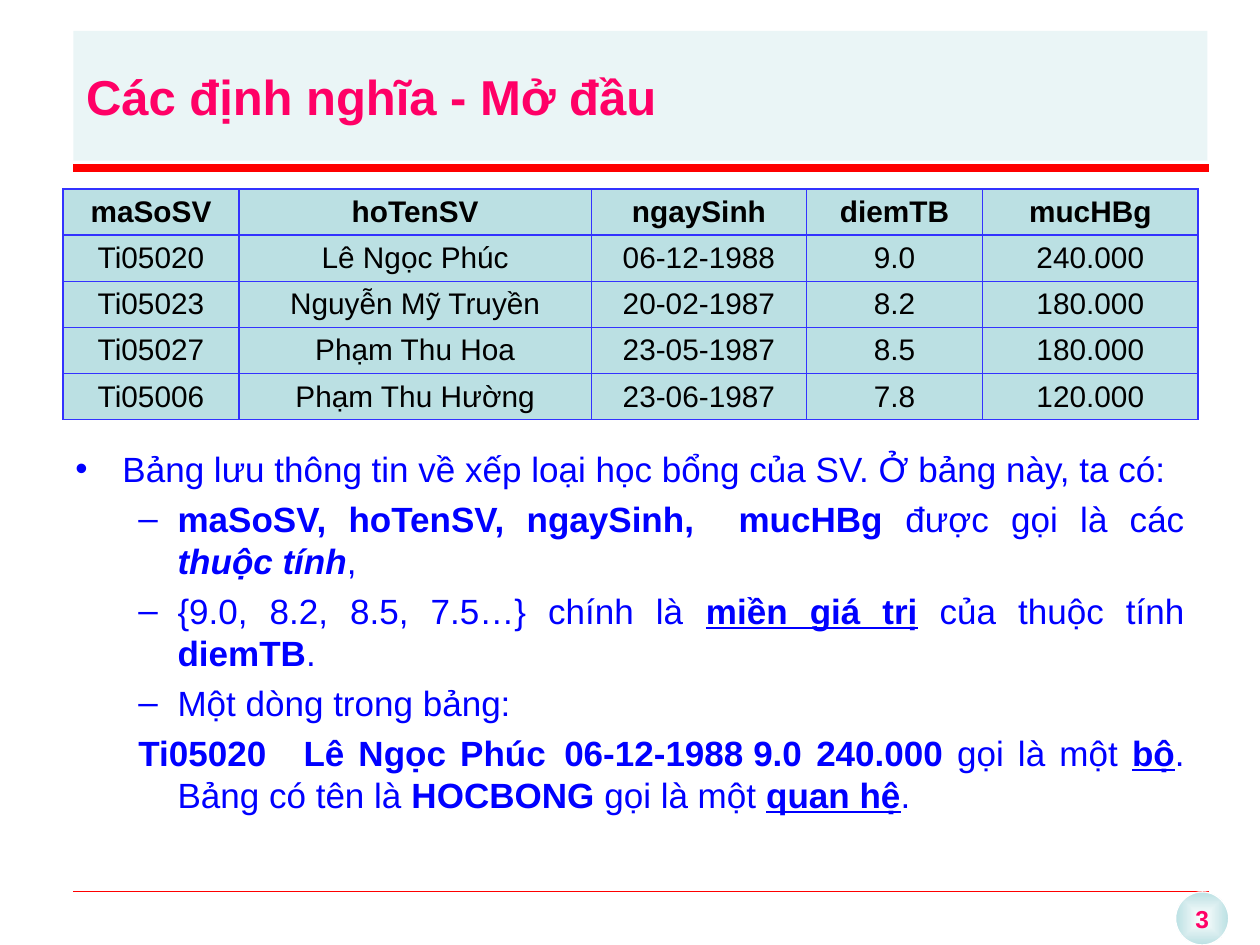
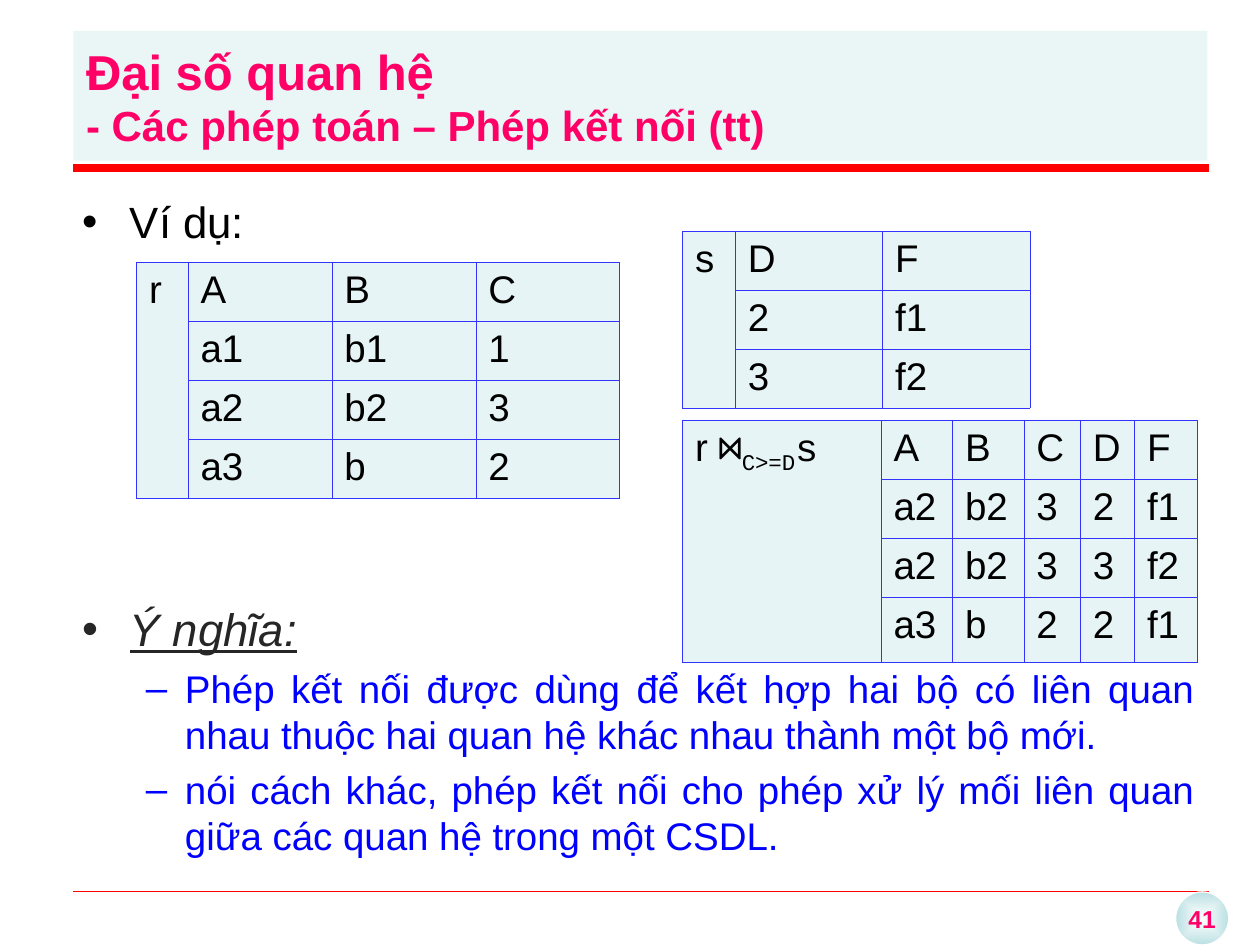
from lxml import etree
from pptx import Presentation
from pptx.dml.color import RGBColor
from pptx.enum.shapes import MSO_CONNECTOR, MSO_SHAPE
from pptx.enum.text import MSO_ANCHOR, MSO_AUTO_SIZE, PP_ALIGN
from pptx.oxml import parse_xml
from pptx.oxml.ns import nsdecls, qn
from pptx.util import Cm, Pt

FONT = "Arial"
PINK, RED, BLUE, BLACK, GREY = "FF0066", "FF0000", "0000FF", "000000", "262626"
WHITE, TEAL, PALE, BORDER = "FFFFFF", "BBE0E3", "E7F4F5", "3333FF"
LEFT, RULE_RIGHT = 1.48, 24.38
INDENTS = {0: (0.95, -0.95), 1: (2.06, -0.79)}
BULLETS = {0: "•", 1: "–"}


def rgb(color):
    return RGBColor.from_string(color)


def box(left, top, width, height):
    return Cm(left), Cm(top), Cm(width), Cm(height)


def add_run(paragraph, text, size, color, style="", font=FONT):
    run = paragraph.add_run()
    run.text = text
    run.font.name = font
    run.font.size = Pt(size)
    run.font.color.rgb = rgb(color)
    run.font.bold = "b" in style
    run.font.italic = "i" in style
    run.font.underline = "u" in style
    if "s" in style:
        run.font._element.set("baseline", "-25000")


def add_rule(slide, y, weight):
    rule = slide.shapes.add_connector(
        MSO_CONNECTOR.STRAIGHT, Cm(LEFT), Cm(y), Cm(RULE_RIGHT), Cm(y))
    rule.line.color.rgb = rgb(RED)
    rule.line.width = Pt(weight)
    etree.SubElement(rule._element.spPr, qn("a:effectLst"))


def add_page_badge(slide, number):
    badge = slide.shapes.add_shape(MSO_SHAPE.OVAL, *box(23.7, 17.98, 1.07, 1.07))
    badge.shadow.inherit = False
    badge.line.color.rgb = rgb(WHITE)
    badge.line.width = Pt(0.75)
    gradient = parse_xml(
        f'<a:gradFill {nsdecls("a")} rotWithShape="1"><a:gsLst>'
        f'<a:gs pos="0"><a:srgbClr val="{WHITE}"/></a:gs>'
        f'<a:gs pos="100000"><a:srgbClr val="{TEAL}"/></a:gs></a:gsLst>'
        '<a:path path="shape"><a:fillToRect l="50000" t="50000" r="50000" b="50000"/>'
        '</a:path></a:gradFill>')
    badge._element.spPr.find(qn("a:prstGeom")).addnext(gradient)
    frame = badge.text_frame
    frame.word_wrap = False
    frame.vertical_anchor = MSO_ANCHOR.MIDDLE
    frame.paragraphs[0].alignment = PP_ALIGN.CENTER
    add_run(frame.paragraphs[0], str(number), 14, PINK, "b")


def format_title(slide, title, subtitle):
    shape = slide.shapes.title
    shape.left, shape.top, shape.width, shape.height = box(LEFT, 0.62, 22.86, 2.62)
    shape.fill.solid()
    shape.fill.fore_color.rgb = rgb(TEAL)
    color = shape._element.spPr.find(qn("a:solidFill"))[0]
    etree.SubElement(color, qn("a:alpha"), val="30000")
    frame = shape.text_frame
    frame.auto_size = MSO_AUTO_SIZE.NONE
    frame.word_wrap = True
    frame.vertical_anchor = MSO_ANCHOR.MIDDLE
    paragraph = frame.paragraphs[0]
    paragraph.alignment = PP_ALIGN.LEFT
    add_run(paragraph, title, 28, PINK, "b")
    if subtitle:
        paragraph.add_line_break()
        add_run(paragraph, subtitle, 24, PINK, "b")


def add_slide(deck, number, title, subtitle=None):
    slide = deck.slides.add_slide(deck.slide_layouts[5])
    format_title(slide, title, subtitle)
    add_rule(slide, 17.96, 0.25)
    add_rule(slide, 3.39, 4.5)
    add_page_badge(slide, number)
    return slide


def add_body(slide, area):
    body = slide.shapes.add_textbox(*box(*area))
    body.fill.solid()
    body.fill.fore_color.rgb = rgb(WHITE)
    body.text_frame.word_wrap = True
    return body.text_frame


def add_item(frame, level, runs, size, color, bullet=True, before=None):
    first = frame.paragraphs[0]
    paragraph = frame.add_paragraph() if first.runs else first
    paragraph.alignment = PP_ALIGN.JUSTIFY
    paragraph.level = level
    paragraph.space_before = Pt(before or round(size * 0.23, 1))
    properties = paragraph._p.get_or_add_pPr()
    margin, indent = INDENTS[level]
    properties.set("marL", str(Cm(margin)))
    properties.set("indent", str(Cm(indent)))
    if bullet:
        etree.SubElement(properties, qn("a:buFont"), typeface=FONT)
        etree.SubElement(properties, qn("a:buChar"), char=BULLETS[level])
    else:
        etree.SubElement(properties, qn("a:buNone"))
    for text, style in runs:
        add_run(paragraph, text, size, color, style)


def format_cell(cell, fill, border):
    properties = cell._tc.get_or_add_tcPr()
    for side in ("lnL", "lnR", "lnT", "lnB"):
        properties.append(parse_xml(
            f'<a:{side} {nsdecls("a")} w="{Pt(border)}"><a:solidFill>'
            f'<a:srgbClr val="{BORDER}"/></a:solidFill></a:{side}>'))
    cell.fill.solid()
    cell.fill.fore_color.rgb = rgb(fill)


def add_grid(slide, left, top, widths, heights, fill, border):
    area = box(left, top, sum(widths), sum(heights))
    table = slide.shapes.add_table(len(heights), len(widths), *area).table
    for column, width in zip(table.columns, widths):
        column.width = Cm(width)
    for row, height in zip(table.rows, heights):
        row.height = Cm(height)
    for cell in table.iter_cells():
        format_cell(cell, fill, border)
    return table


def add_student_table(slide, rows):
    table = add_grid(slide, 1.27, 3.81, [3.55, 7.1, 4.34, 3.55, 4.34],
                     [0.93] * len(rows), TEAL, 1)
    for r, row in enumerate(rows):
        for c, text in enumerate(row):
            cell = table.cell(r, c)
            cell.vertical_anchor = MSO_ANCHOR.MIDDLE
            paragraph = cell.text_frame.paragraphs[0]
            paragraph.alignment = PP_ALIGN.CENTER
            add_run(paragraph, text, 17, BLACK, "" if r else "b")


def add_relation(slide, left, top, widths, heights, name, rows):
    table = add_grid(slide, left, top, widths, heights, PALE, 0.25)
    table.cell(0, 0).merge(table.cell(len(rows) - 1, 0))
    label = table.cell(0, 0).text_frame.paragraphs[0]
    label.alignment = PP_ALIGN.JUSTIFY
    for text, style, font in name:
        add_run(label, text, 22, BLACK, style, font)
    for r, row in enumerate(rows):
        for c, text in enumerate(row.split(), 1):
            paragraph = table.cell(r, c).text_frame.paragraphs[0]
            paragraph.alignment = PP_ALIGN.JUSTIFY
            add_run(paragraph, text, 22, BLACK)


def build_definitions(deck):
    slide = add_slide(deck, 3, "Các định nghĩa - Mở đầu")
    add_student_table(slide, [
        ("maSoSV", "hoTenSV", "ngaySinh", "diemTB", "mucHBg"),
        ("Ti05020", "Lê Ngọc Phúc", "06-12-1988", "9.0", "240.000"),
        ("Ti05023", "Nguyễn Mỹ Truyền", "20-02-1987", "8.2", "180.000"),
        ("Ti05027", "Phạm Thu Hoa", "23-05-1987", "8.5", "180.000"),
        ("Ti05006", "Phạm Thu Hường", "23-06-1987", "7.8", "120.000"),
    ])
    frame = add_body(slide, (1.27, 8.89, 22.86, 8.89))
    add_item(frame, 0, [
        ("Bảng lưu thông tin về xếp loại học bổng của SV. Ở bảng này, ta có: ", ""),
    ], 20, BLUE)
    add_item(frame, 1, [
        ("maSoSV, hoTenSV, ngaySinh,  mucHBg", "b"), (" được gọi là các ", ""),
        ("thuộc tính", "bi"), (", ", ""),
    ], 20, BLUE)
    add_item(frame, 1, [
        ("{9.0, 8.2, 8.5, 7.5…} chính là ", ""), ("miền giá trị", "bu"),
        (" của thuộc tính ", ""), ("diemTB", "b"), (". ", ""),
    ], 20, BLUE)
    add_item(frame, 1, [("Một dòng trong bảng:", "")], 20, BLUE)
    add_item(frame, 1, [
        ("Ti05020\tLê Ngọc Phúc\t06-12-1988\t9.0\t240.000", "b"),
        (" gọi là một ", ""), ("bộ", "bu"), (". Bảng có tên là ", ""),
        ("HOCBONG", "b"), (" gọi là một ", ""), ("quan hệ", "bu"), (".", ""),
    ], 20, BLUE, bullet=False)


def build_join(deck):
    slide = add_slide(deck, 41, "Đại số quan hệ",
                      "- Các phép toán – Phép kết nối (tt)")
    frame = add_body(slide, (1.42, 3.81, 22.91, 13.92))
    add_item(frame, 0, [("Ví dụ:", "")], 25, BLACK)
    add_item(frame, 0, [("Ý nghĩa:", "iu")], 26, GREY, before=202)
    add_item(frame, 1, [
        ("Phép kết nối được dùng để kết hợp hai bộ có liên quan nhau thuộc "
         "hai quan hệ khác nhau thành một bộ mới. ", ""),
    ], 22, BLUE)
    add_item(frame, 1, [
        ("nói cách khác, phép kết nối cho phép xử lý mối liên quan giữa các "
         "quan hệ trong một CSDL.", ""),
    ], 22, BLUE)
    row = 1.19
    add_relation(slide, 2.75, 5.29, [1.04] + [2.9] * 3, [row] * 4,
                 [("r", "", FONT)], ["A B C", "a1 b1 1", "a2 b2 3", "a3 b 2"])
    add_relation(slide, 13.76, 4.66, [1.06] + [2.97] * 2, [row] * 3,
                 [("s", "", FONT)], ["D F", "2 f1", "3 f2"])
    mono = "Courier New"
    add_relation(slide, 13.76, 8.47, [4, 1.44, 1.44, 1.14, 1.09, 1.27],
                 [row] * 3 + [1.28],
                 [("r ", "", FONT), ("⋈", "", mono), ("C>=D", "s", mono), ("s", "", mono)],
                 ["A B C D F", "a2 b2 3 2 f1", "a2 b2 3 3 f2", "a3 b 2 2 f1"])


def main():
    deck = Presentation()
    deck.slide_width, deck.slide_height = Cm(25.4), Cm(19.05)
    build_definitions(deck)
    build_join(deck)
    deck.save("out.pptx")


main()
